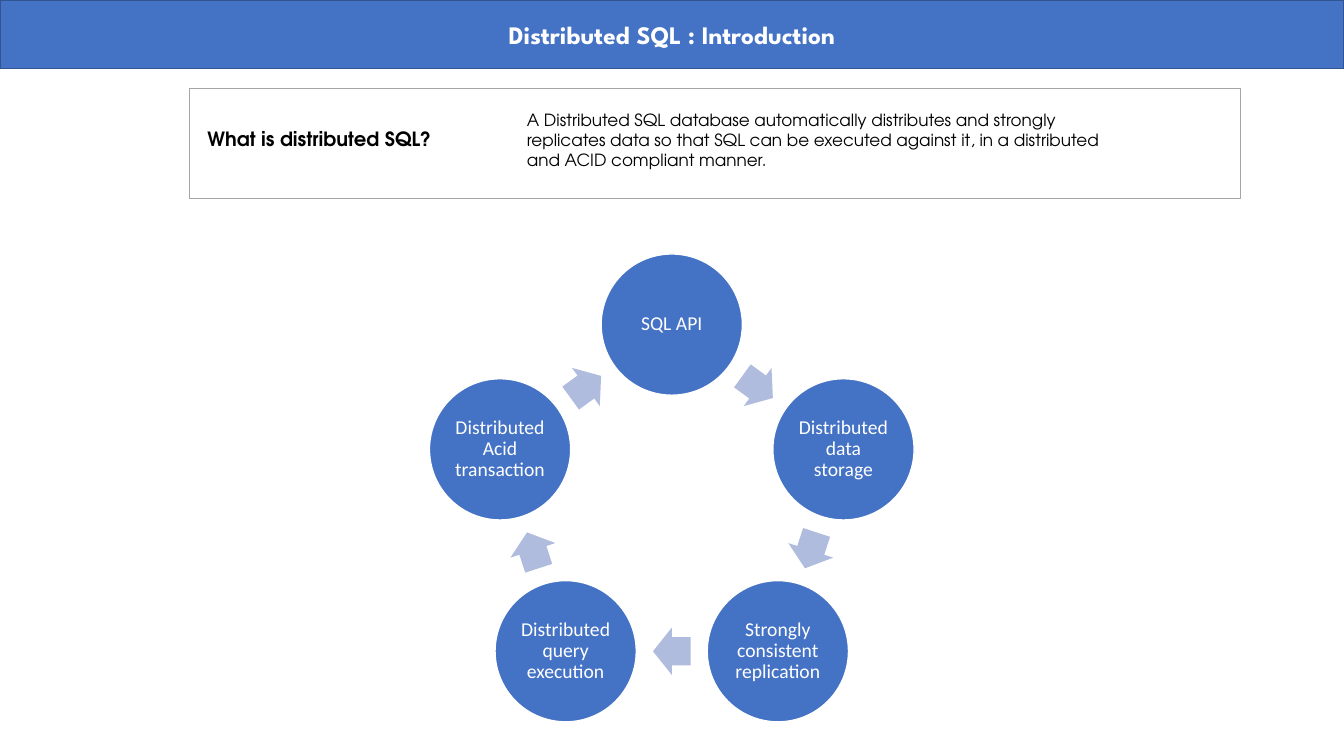
from dataclasses import dataclass
from math import cos, radians, sin

from pptx import Presentation
from pptx.dml.color import RGBColor
from pptx.enum.shapes import MSO_SHAPE as SHAPE
from pptx.enum.text import MSO_ANCHOR as ANCHOR, MSO_AUTO_SIZE as AUTO_SIZE, PP_ALIGN as ALIGN
from pptx.util import Cm, Pt


@dataclass(frozen=True)
class Theme:
    blue: RGBColor = RGBColor(0x44, 0x72, 0xC4)
    dark_blue: RGBColor = RGBColor(0x32, 0x54, 0x91)
    pale_blue: RGBColor = RGBColor(0xB0, 0xBC, 0xDE)
    grey: RGBColor = RGBColor(0xA5, 0xA5, 0xA5)
    white: RGBColor = RGBColor(0xFF, 0xFF, 0xFF)
    black: RGBColor = RGBColor(0, 0, 0)
    title_font: str = "League Spartan"
    text_font: str = "TeX Gyre Adventor"
    cycle_font: str = "Calibri"
    title_size: Pt = Pt(18)
    label_size: Pt = Pt(14)
    text_size: Pt = Pt(12)


THEME = Theme()

STEPS = [
    "SQL API",
    "Distributed data storage",
    "Strongly consistent replication",
    "Distributed query execution",
    "Distributed Acid transaction",
]
CENTRE_X, CENTRE_Y, RING_RADIUS = 16.93, 12.73, 4.55
CIRCLE_SIZE = 3.56
ARROW_WIDTH, ARROW_HEIGHT = 0.95, 1.19


def write(tf, text, font, size, color, bold=False, align=ALIGN.LEFT):
    tf.word_wrap = True
    tf.vertical_anchor = ANCHOR.MIDDLE
    p = tf.paragraphs[0]
    p.alignment = align
    r = p.add_run()
    r.text = text
    r.font.name = font
    r.font.size = size
    r.font.bold = bold
    r.font.color.rgb = color
    return p


def style(sp, fill=None, line=None, width=1):
    if fill is None:
        sp.fill.background()
    else:
        sp.fill.solid()
        sp.fill.fore_color.rgb = fill
    if line is None:
        sp.line.fill.background()
    else:
        sp.line.color.rgb = line
        sp.line.width = Pt(width)


def add_shape(slide, kind, left, top, width, height):
    sp = slide.shapes.add_shape(kind, Cm(left), Cm(top), Cm(width), Cm(height))
    sp.shadow.inherit = False
    return sp


def add_title_bar(slide, text, width):
    title = slide.shapes.title
    title.left, title.top, title.width, title.height = 0, 0, width, Cm(1.73)
    style(title, THEME.blue, THEME.dark_blue)
    title.text_frame.auto_size = AUTO_SIZE.NONE
    write(title.text_frame, text, THEME.title_font, THEME.title_size,
          THEME.white, True, ALIGN.CENTER)


def add_text(slide, text, left, top, width, height, size, bold=False):
    box = slide.shapes.add_textbox(Cm(left), Cm(top), Cm(width), Cm(height))
    write(box.text_frame, text, THEME.text_font, size, THEME.black, bold)


def ring_point(angle, radius):
    """Point on the ring, with the angle in degrees clockwise from the top."""
    turn = radians(angle)
    return CENTRE_X + radius * sin(turn), CENTRE_Y - radius * cos(turn)


def add_step(slide, text, angle):
    x, y = ring_point(angle, RING_RADIUS)
    half = CIRCLE_SIZE / 2
    sp = add_shape(slide, SHAPE.OVAL, x - half, y - half, CIRCLE_SIZE, CIRCLE_SIZE)
    style(sp, THEME.blue, THEME.white)
    tf = sp.text_frame
    tf.margin_left = tf.margin_right = tf.margin_top = tf.margin_bottom = Cm(0.05)
    p = write(tf, text, THEME.cycle_font, THEME.label_size, THEME.white, align=ALIGN.CENTER)
    p.line_spacing = 0.9


def add_step_arrow(slide, angle, half_step):
    x, y = ring_point(angle, RING_RADIUS * cos(radians(half_step)))
    sp = add_shape(slide, SHAPE.RIGHT_ARROW, x - ARROW_WIDTH / 2, y - ARROW_HEIGHT / 2,
                   ARROW_WIDTH, ARROW_HEIGHT)
    sp.adjustments[0], sp.adjustments[1] = 0.6, 0.5
    sp.rotation = angle
    style(sp, THEME.pale_blue)


def add_cycle(slide, steps):
    step_angle = 360 / len(steps)
    for i, text in enumerate(steps):
        angle = i * step_angle
        add_step(slide, text, angle)
        add_step_arrow(slide, angle + step_angle / 2, step_angle / 2)


def add_definition(slide, question, answer):
    add_text(slide, question, 4.98, 3.07, 8.05, 0.86, THEME.label_size, True)
    add_text(slide, answer, 13.03, 2.62, 15.14, 1.8, THEME.text_size)
    frame = add_shape(slide, SHAPE.RECTANGLE, 4.78, 2.23, 26.49, 2.77)
    style(frame, line=THEME.grey, width=0.75)


def main():
    prs = Presentation()
    prs.slide_width, prs.slide_height = Cm(33.87), Cm(19.05)
    slide = prs.slides.add_slide(prs.slide_layouts[5])
    add_title_bar(slide, "Distributed SQL : Introduction", prs.slide_width)
    add_cycle(slide, STEPS)
    add_definition(
        slide,
        "What is distributed SQL?",
        "A Distributed SQL database automatically distributes and strongly replicates data "
        "so that SQL can be executed against it, in a distributed and ACID compliant manner.",
    )
    prs.save("out.pptx")


if __name__ == "__main__":
    main()
